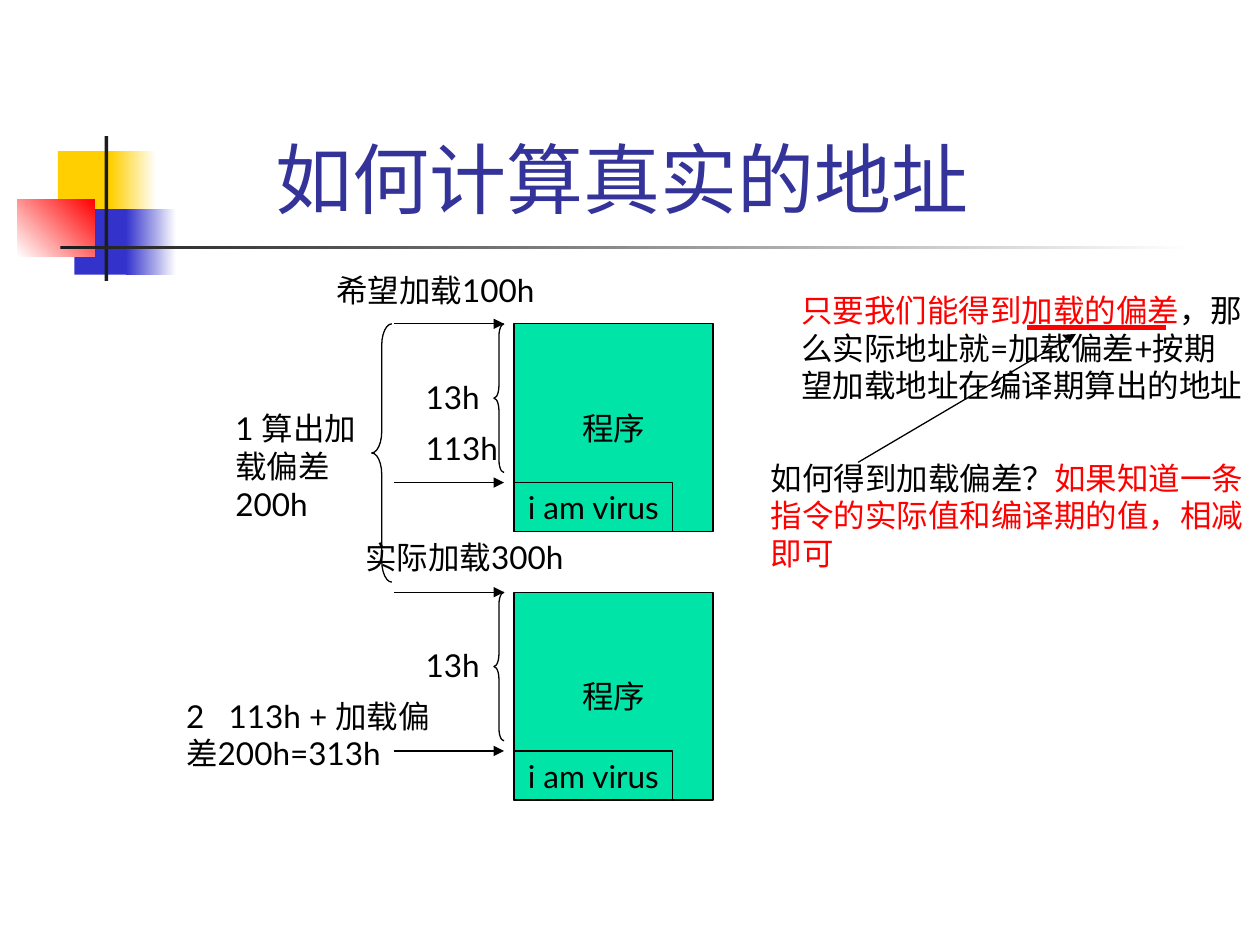
from pptx import Presentation
from pptx.dml.color import RGBColor
from pptx.enum.shapes import MSO_CONNECTOR, MSO_SHAPE
from pptx.enum.text import MSO_ANCHOR, MSO_AUTO_SIZE, PP_ALIGN
from pptx.oxml.ns import qn
from pptx.util import Inches, Pt
from lxml import etree

RECT, BRACE = MSO_SHAPE.RECTANGLE, MSO_SHAPE.LEFT_BRACE
STRAIGHT = MSO_CONNECTOR.STRAIGHT
TOP, MIDDLE, BOTTOM = MSO_ANCHOR.TOP, MSO_ANCHOR.MIDDLE, MSO_ANCHOR.BOTTOM
LEFT, CENTER = PP_ALIGN.LEFT, PP_ALIGN.CENTER
FIT, FIXED = MSO_AUTO_SIZE.SHAPE_TO_FIT_TEXT, MSO_AUTO_SIZE.NONE
rgb = RGBColor.from_string
BLACK, WHITE, RED, GREEN = "000000", "FFFFFF", "FF0000", "00E4A8"
YELLOW, BLUE, INK, TITLE_BLUE = "FFCF01", "3333CC", "1C1C1C", "333399"


def write(box, text, size=18, color=BLACK, more="", more_color=RED,
          align=LEFT, anchor=TOP, wrap=False, fit=FIT):
    frame = box.text_frame
    frame.word_wrap = wrap
    frame.auto_size = fit
    frame.vertical_anchor = anchor
    paragraph = frame.paragraphs[0]
    paragraph.alignment = align
    for part, part_color in ((text, color), (more, more_color)):
        if part:
            run = paragraph.add_run()
            run.text = part
            run.font.name = "Lato"
            run.font.size = Pt(size)
            run.font.color.rgb = rgb(part_color)


prs = Presentation()
prs.slide_width, prs.slide_height = Inches(10), Inches(7.5)
slide = prs.slides.add_slide(prs.slide_layouts[6])
shapes = slide.shapes

# Corner decoration and title rule: start colour, end colour, angle
decoration = [
    (0.46, 1.2, 0.48, 0.52, YELLOW, None, 0),
    (0.88, 1.2, 0.36, 0.52, YELLOW, WHITE, 0),
    (0.59, 1.66, 0.46, 0.52, BLUE, None, 0),
    (1, 1.66, 0.4, 0.52, BLUE, WHITE, 0),
    (0.14, 1.58, 0.61, 0.46, WHITE, RED, 45),
    (0.83, 1.08, 0.03, 1.15, INK, None, 0),
    (0.48, 1.95, 9, 0.03, INK, WHITE, 0),
]
for x, y, w, h, start, end, angle in decoration:
    block = shapes.add_shape(RECT, Inches(x), Inches(y), Inches(w), Inches(h))
    block.shadow.inherit = False
    block.line.fill.background()
    if end:
        block.fill.gradient()
        block.fill.gradient_angle = angle
        for stop, color in zip(block.fill.gradient_stops, (start, end)):
            stop.color.rgb = rgb(color)
    else:
        block.fill.solid()
        block.fill.fore_color.rgb = rgb(start)

# Title
title = shapes.add_textbox(Inches(2.09), Inches(0.23), Inches(8.52), Inches(1.6))
write(title, "如何计算真实的地址", size=44, color=TITLE_BLUE, anchor=BOTTOM,
      wrap=True, fit=FIXED)

# Program with the virus inside, at the expected and the actual load address
load_tops = (2.57, 4.7)
for top in load_tops:
    memory = shapes.add_group_shape()
    for y, w, h, label in ((top, 1.58, 1.65, "程序"),
                           (top + 1.26, 1.26, 0.39, "i am virus")):
        region = memory.shapes.add_shape(RECT, Inches(4.08), Inches(y), Inches(w), Inches(h))
        region.shadow.inherit = False
        region.fill.solid()
        region.fill.fore_color.rgb = rgb(GREEN)
        region.line.color.rgb = rgb(BLACK)
        region.line.width = Pt(0.75)
        write(region, label, align=CENTER, anchor=MIDDLE, fit=FIXED)

# Braces: virus offset in each program, and the load deviation
braces = [(3.92, top, 0.08, 1.18) for top in load_tops] + [(2.95, 2.57, 0.16, 2.05)]
for x, y, w, h in braces:
    brace = shapes.add_shape(BRACE, Inches(x), Inches(y), Inches(w), Inches(h))
    brace.shadow.inherit = False
    brace.fill.background()
    brace.line.color.rgb = rgb(BLACK)
    brace.line.width = Pt(0.75)
    brace.adjustments[0] = h / 12 / w

# Address labels
labels = [
    (2.57, 2.1, 1.84, "希望加载100h"),
    (3.28, 3.36, 0.78, "113h"),
    (3.28, 2.95, 0.64, "13h"),
    (3.28, 5.08, 0.64, "13h"),
    (2.8, 4.22, 1.84, "实际加载300h"),
]
for x, y, w, text in labels:
    label_box = shapes.add_textbox(Inches(x), Inches(y), Inches(w), Inches(0.4))
    write(label_box, text)

# Steps and explanations
notes = [
    (1.38, 5.48, 2.36, 0.7, "2   113h + 加载偏差200h=313h", BLACK, "", BLACK),
    (1.77, 3.2, 1.18, 1, "1 算出加载偏差200h", BLACK, "", BLACK),
    (6.26, 2.26, 3.72, 1.3, "只要我们能得到加载的偏差", RED,
     "，那么实际地址就=加载偏差+按期望加载地址在编译期算出的地址", BLACK),
    (6.02, 3.59, 3.98, 1, "如何得到加载偏差？", BLACK,
     "如果知道一条指令的实际值和编译期的值，相减即可", RED),
]
for x, y, w, h, text, color, more, more_color in notes:
    note = shapes.add_textbox(Inches(x), Inches(y), Inches(w), Inches(h))
    write(note, text, color=color, more=more, more_color=more_color, wrap=True)

# Address arrows, the pointer to the deviation and its red underline
arrows = [(3.13, top + drop, 4, top + drop, BLACK, 0.75, True)
          for top in load_tops for drop in (0, 1.26)]
arrows += [(6.81, 3.67, 8.54, 2.65, BLACK, 0.75, True),
           (8.15, 2.6, 9.25, 2.6, RED, 3, False)]
for x1, y1, x2, y2, color, width, has_head in arrows:
    arrow = shapes.add_connector(STRAIGHT, Inches(x1), Inches(y1), Inches(x2), Inches(y2))
    arrow.line.color.rgb = rgb(color)
    arrow.line.width = Pt(width)
    properties = arrow.element.spPr
    if has_head:
        etree.SubElement(properties.find(qn("a:ln")), qn("a:tailEnd"), type="triangle")
    etree.SubElement(properties, qn("a:effectLst"))

prs.save("out.pptx")
